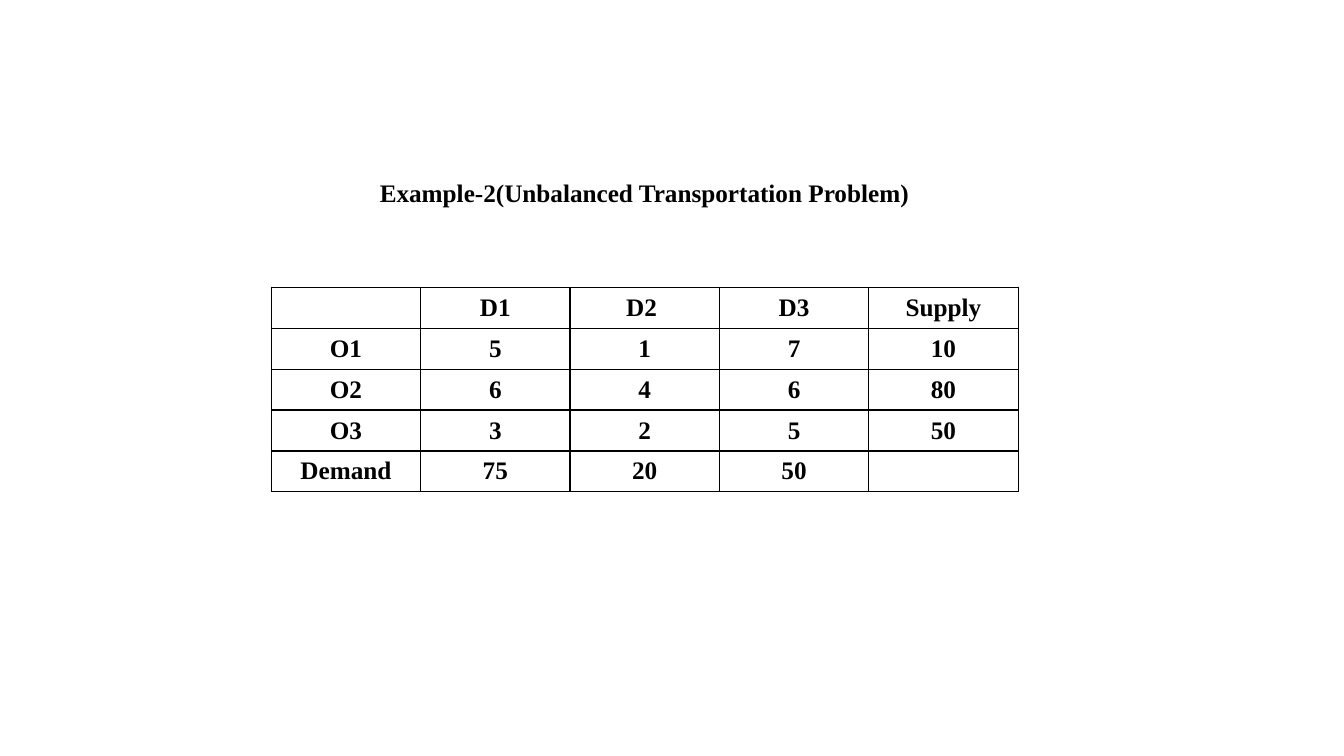
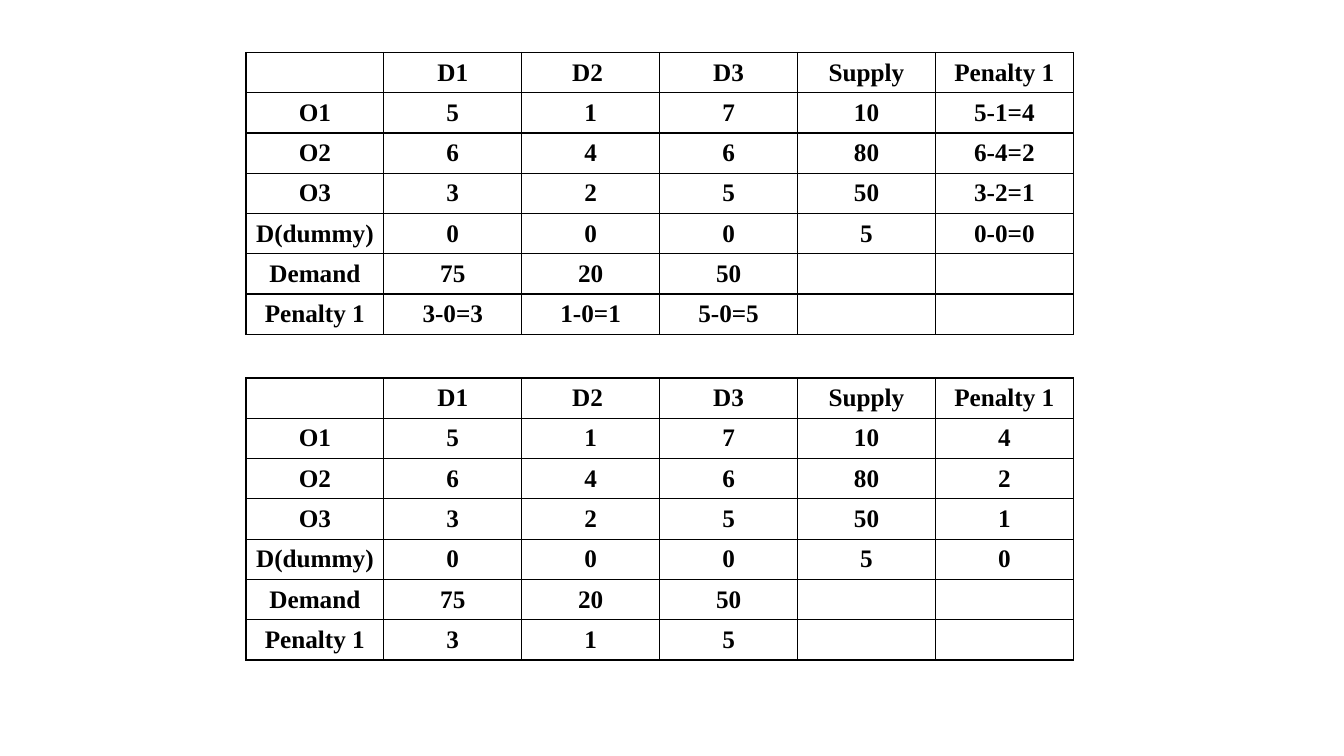
from dataclasses import dataclass

from lxml.etree import SubElement
from pptx import Presentation
from pptx.dml.color import RGBColor
from pptx.enum.text import MSO_ANCHOR as Anchor, PP_ALIGN as Align
from pptx.oxml.ns import qn
from pptx.slide import Slide
from pptx.util import Inches, Pt

# Shared look
SLIDE_WIDTH, SLIDE_HEIGHT = Inches(13.33), Inches(7.5)
BLANK_LAYOUT = 6
FONT = "Times New Roman"
BLACK = "000000"
BORDER_POINTS = 1
CELL_SIDE, CELL_EDGE = Inches(0.07), Inches(0.04)

# Transportation problem: origin, unit costs to D1..D3, supply
HEADER = ["", "D1", "D2 ", "D3", "Supply"]
ORIGINS = [
    ["O1", "5", "1", "7", "10"],
    ["O2", "6", "4", "6", "80"],
    ["O3", "3", "2", "5", "50"],
]
DUMMY = ["D(dummy)", "0", "0", "0", "5"]
DEMAND = ["Demand", "75", "20", "50", ""]


@dataclass(frozen=True)
class Frame:
    """A box in percent of the slide's width and height."""
    left: float
    top: float
    width: float
    height: float

    def lengths(self) -> tuple[int, int, int, int]:
        return (int(SLIDE_WIDTH * self.left / 100), int(SLIDE_HEIGHT * self.top / 100),
                int(SLIDE_WIDTH * self.width / 100), int(SLIDE_HEIGHT * self.height / 100))


@dataclass(frozen=True)
class CostTable:
    frame: Frame
    rows: list[list[str]]


def color(hex_code: str) -> RGBColor:
    return RGBColor.from_string(hex_code)


def write_text(text_frame, text: str, *, size: float = 18, bold: bool = True,
               hex_code: str = BLACK, align: Align = Align.CENTER) -> None:
    paragraph = text_frame.paragraphs[0]
    paragraph.alignment = align
    run = paragraph.add_run()
    run.text = text
    run.font.name = FONT
    run.font.size = Pt(size)
    run.font.bold = bold
    run.font.color.rgb = color(hex_code)


def add_borders(cell, hex_code: str = BLACK) -> None:
    properties = cell._tc.get_or_add_tcPr()
    for position, side in enumerate(("a:lnL", "a:lnR", "a:lnT", "a:lnB")):
        line = SubElement(properties, qn(side), w=str(Pt(BORDER_POINTS)))
        fill = SubElement(line, qn("a:solidFill"))
        SubElement(fill, qn("a:srgbClr"), val=hex_code)
        properties.insert(position, line)  # borders come before the fill


def add_cost_table(slide: Slide, cost_table: CostTable) -> None:
    rows = cost_table.rows
    table = slide.shapes.add_table(len(rows), len(rows[0]), *cost_table.frame.lengths()).table
    table.first_row = table.horz_banding = False
    for row_index, row in enumerate(rows):
        for column_index, value in enumerate(row):
            cell = table.cell(row_index, column_index)
            cell.fill.background()
            cell.margin_left = cell.margin_right = CELL_SIDE
            cell.margin_top = cell.margin_bottom = CELL_EDGE
            cell.vertical_anchor = Anchor.MIDDLE
            write_text(cell.text_frame, value)
            add_borders(cell)


def add_title(slide: Slide, text: str, frame: Frame) -> None:
    title = slide.shapes.add_textbox(*frame.lengths())
    title.text_frame.word_wrap = True
    write_text(title.text_frame, text)


def with_penalties(row_penalties: list[str], column_penalties: list[str]) -> list[list[str]]:
    """The balanced problem with a penalty column and a penalty row."""
    body = [HEADER, *ORIGINS, DUMMY, DEMAND, ["Penalty 1", *column_penalties, ""]]
    last_column = ["Penalty 1", *row_penalties, "", ""]
    return [[*row, penalty] for row, penalty in zip(body, last_column)]


def main() -> None:
    presentation = Presentation()
    presentation.slide_width, presentation.slide_height = SLIDE_WIDTH, SLIDE_HEIGHT
    blank = presentation.slide_layouts[BLANK_LAYOUT]

    # Slide 1: the unbalanced problem
    problem = presentation.slides.add_slide(blank)
    add_cost_table(problem, CostTable(Frame(20.18, 38, 55.58, 27.07),
                                      [HEADER, *ORIGINS, DEMAND]))
    add_title(problem, "Example-2(Unbalanced Transportation Problem)",
              Frame(22.95, 22.8, 50, 5.33))

    # Slide 2: first penalties, worked out above and as results below
    penalties = presentation.slides.add_slide(blank)
    worked = with_penalties(["5-1=4", "6-4=2", "3-2=1", "0-0=0"], ["3-0=3", "1-0=1", "5-0=5"])
    results = with_penalties(["4", "2", "1", "0"], ["3", "1", "5"])
    for top, rows in ((6.93, worked), (50, results)):
        add_cost_table(penalties, CostTable(Frame(18.3, top, 61.58, 37.33), rows))

    presentation.save("out.pptx")


if __name__ == "__main__":
    main()
